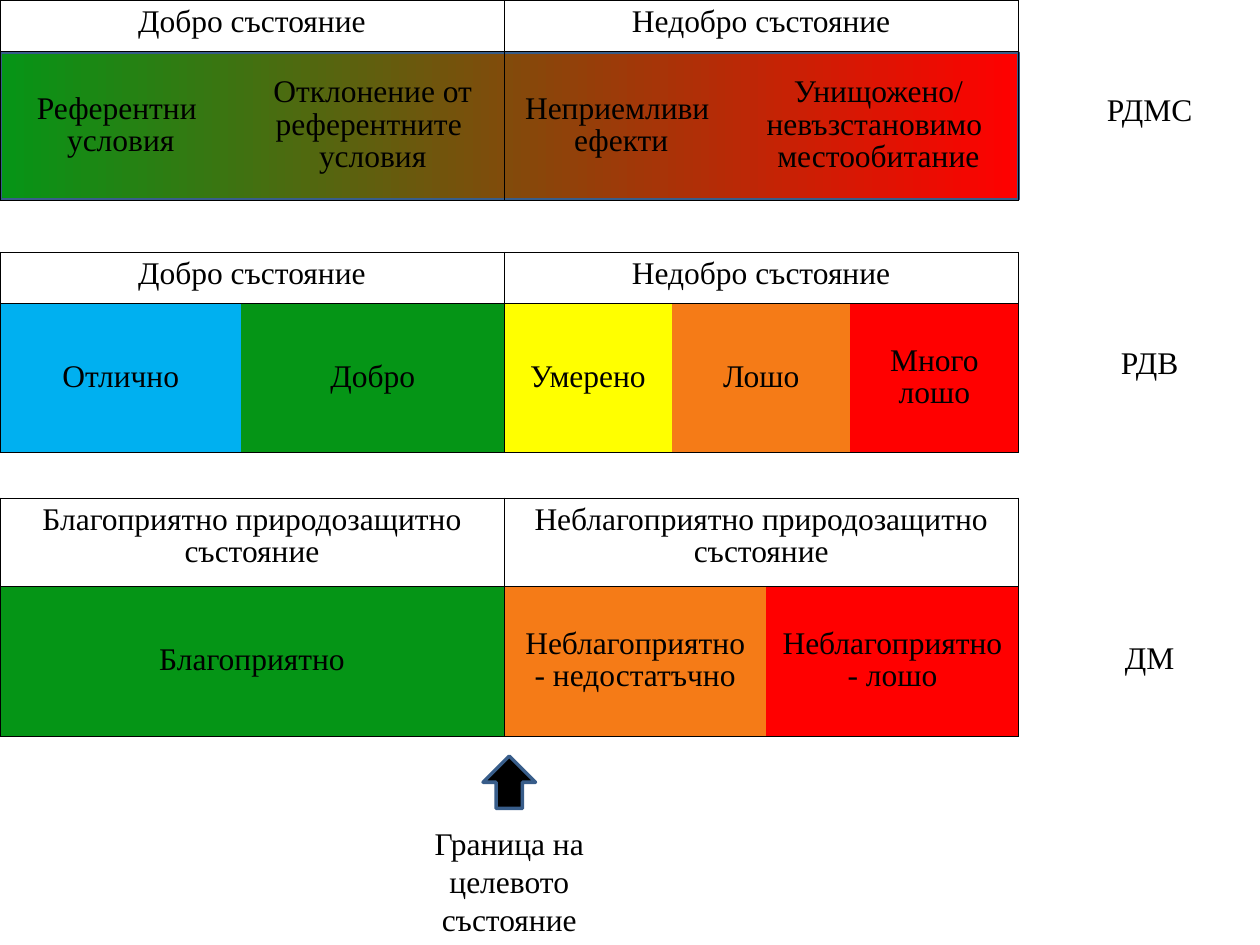
from lxml import etree
from pptx import Presentation
from pptx.dml.color import RGBColor
from pptx.enum.shapes import MSO_SHAPE
from pptx.enum.text import MSO_ANCHOR, MSO_AUTO_SIZE, PP_ALIGN
from pptx.oxml.ns import qn
from pptx.util import Pt

RECTANGLE, DOWN_ARROW = MSO_SHAPE.RECTANGLE, MSO_SHAPE.DOWN_ARROW
TOP, MIDDLE = MSO_ANCHOR.TOP, MSO_ANCHOR.MIDDLE
CENTER = PP_ALIGN.CENTER
FIT_SHAPE = MSO_AUTO_SIZE.SHAPE_TO_FIT_TEXT

COLORS = {
    "black": "000000", "outline": "385D8A", "blue": "00B0F0", "green": "059516",
    "yellow": "FFFF00", "orange": "F57B17", "red": "FF0000",
}
FONT = "Times New Roman"
SCALE_WIDTH = 582
STATE_HEIGHT = 85.5
BORDER = 0.23

SCALES = [
    {
        "directive": "РДМС", "top": 0, "label_top": 48, "header_height": 29, "good_count": 2,
        "headers": ("Добро състояние", "Недобро състояние"),
        "states": [
            ("Референтни \nусловия", 138, None),
            ("Отклонение от референтните \nусловия", 150, None),
            ("Неприемливи \nефекти", 134, None),
            ("Унищожено/\nневъзстановимо \nместообитание", 160, None),
        ],
    },
    {
        "directive": "РДВ", "top": 144, "label_top": 192.5, "header_height": 29, "good_count": 2,
        "headers": ("Добро състояние", "Недобро състояние"),
        "states": [
            ("Отлично", 138, "blue"),
            ("Добро", 150, "green"),
            ("Умерено", 96, "yellow"),
            ("Лошо", 102, "orange"),
            ("Много лошо", 96, "red"),
        ],
    },
    {
        "directive": "ДМ", "top": 284.5, "label_top": 361, "header_height": 50.5, "good_count": 1,
        "headers": ("Благоприятно природозащитно състояние",
                    "Неблагоприятно природозащитно състояние"),
        "states": [
            ("Благоприятно", 288, "green"),
            ("Неблагоприятно - недостатъчно", 150, "orange"),
            ("Неблагоприятно - лошо", 144, "red"),
        ],
    },
]
BOUNDARY = "Граница на целевото състояние"


def rgb(name):
    return RGBColor.from_string(COLORS[name])


def write(frame, text, spacing=None, size=18, color="black"):
    frame.word_wrap = True
    frame.text = text
    for paragraph in frame.paragraphs:
        paragraph.alignment = CENTER
        paragraph.line_spacing = spacing
        font = paragraph.runs[0].font
        font.size, font.name, font.color.rgb = Pt(size), FONT, rgb(color)


def set_borders(cell, visible_sides):
    properties = cell._tc.get_or_add_tcPr()
    for side in "LRTB":
        line = etree.SubElement(properties, qn(f"a:ln{side}"), w=str(Pt(BORDER)))
        if side in visible_sides:
            fill = etree.SubElement(line, qn("a:solidFill"))
            etree.SubElement(fill, qn("a:srgbClr"), val=COLORS["black"])
        else:
            etree.SubElement(line, qn("a:noFill"))


def format_cell(cell, sides, color=None):
    set_borders(cell, sides)
    if color:
        cell.fill.solid()
        cell.fill.fore_color.rgb = rgb(color)
    else:
        cell.fill.background()


def add_label(slide, text, left, top, width, height):
    label = slide.shapes.add_textbox(Pt(left), Pt(top), Pt(width), Pt(height))
    write(label.text_frame, text)
    label.text_frame.auto_size = FIT_SHAPE


def add_outlined(slide, kind, left, top, width, height):
    shape = slide.shapes.add_shape(kind, Pt(left), Pt(top), Pt(width), Pt(height))
    shape.shadow.inherit = False
    shape.line.color.rgb = rgb("outline")
    shape.line.width = Pt(2)
    return shape


def add_scale(slide, scale):
    states, split = scale["states"], scale["good_count"]
    last = len(states) - 1
    heights = (scale["header_height"], STATE_HEIGHT)
    table = slide.shapes.add_table(2, len(states), 0, Pt(scale["top"]),
                                   Pt(SCALE_WIDTH), Pt(sum(heights))).table
    table.first_row = table.horz_banding = False
    for row, height in zip(table.rows, heights):
        row.height = Pt(height)
    for index, (text, width, color) in enumerate(states):
        table.columns[index].width = Pt(width)
        format_cell(table.cell(0, index), "LRTB")
        state = table.cell(1, index)
        sides = "TB"
        sides += "L" if index in (0, split) else ""
        sides += "R" if index in (split - 1, last) else ""
        format_cell(state, sides, color)
        state.vertical_anchor = MIDDLE
        write(state.text_frame, text, spacing=0.93)
    for text, first, final in zip(scale["headers"], (0, split), (split - 1, last)):
        header = table.cell(0, first)
        if final > first:
            header.merge(table.cell(0, final))
        header.vertical_anchor = TOP
        write(header.text_frame, text, spacing=0.93)
    add_label(slide, scale["directive"], 606, scale["label_top"], 102, 29)


def main():
    deck = Presentation()
    deck.slide_width, deck.slide_height = Pt(720), Pt(540)
    slide = deck.slides.add_slide(deck.slide_layouts[6])

    gradient_band = add_outlined(slide, RECTANGLE, 0, 30, SCALE_WIDTH, 84)
    gradient_band.fill.gradient()
    gradient_band.fill.gradient_angle = 180
    for stop, color, position in zip(gradient_band.fill.gradient_stops, ("red", "green"), (0, 1)):
        stop.color.rgb = rgb(color)
        stop.position = position

    for scale in SCALES:
        add_scale(slide, scale)

    add_label(slide, BOUNDARY, 228, 467.5, 126, 72)
    boundary_arrow = add_outlined(slide, DOWN_ARROW, 276, 432, 30, 30)
    boundary_arrow.rotation = 180
    boundary_arrow.fill.solid()
    boundary_arrow.fill.fore_color.rgb = rgb("black")
    deck.save("out.pptx")


if __name__ == "__main__":
    main()
